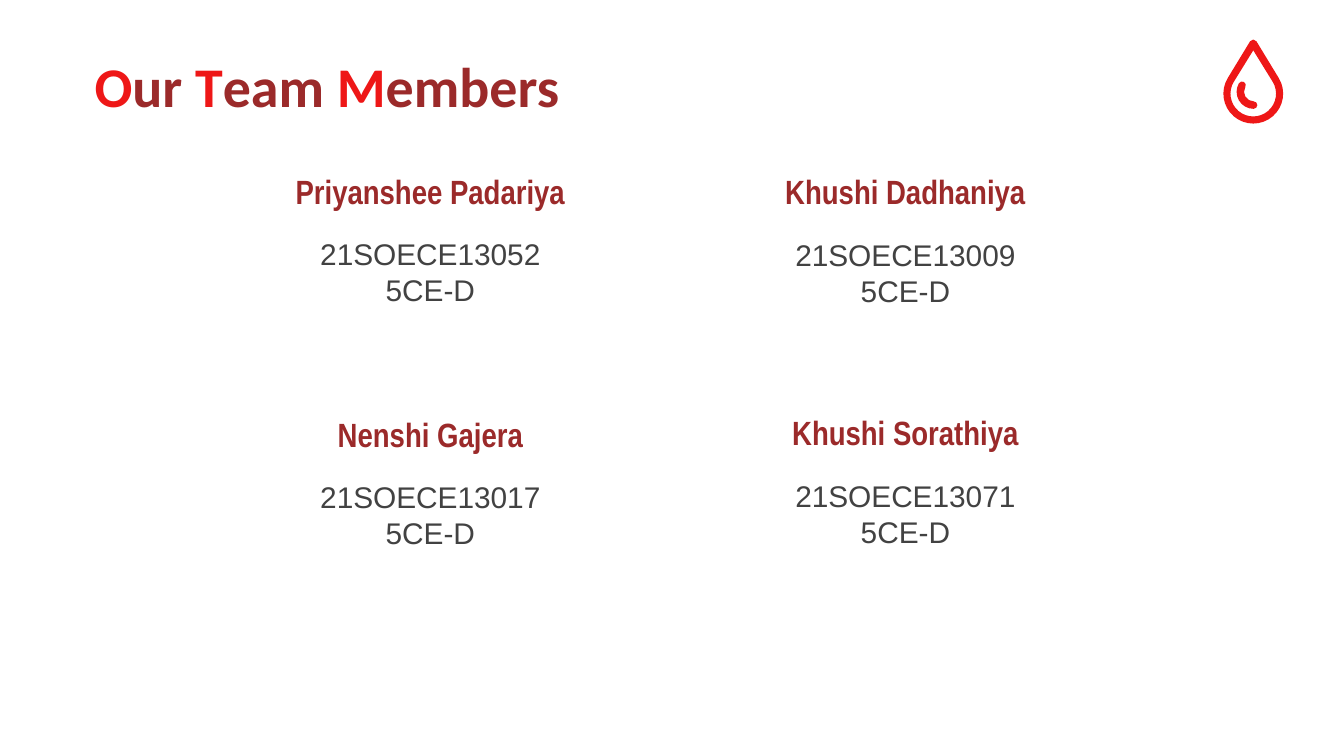
from math import asin, cos, degrees, radians, sin, tan

from pptx import Presentation
from pptx.dml.color import RGBColor
from pptx.enum.text import MSO_ANCHOR, PP_ALIGN
from pptx.oxml.ns import qn
from pptx.util import Pt

RED = RGBColor(0xEE, 0x17, 0x17)
MAROON = RGBColor(0x9B, 0x2A, 0x2A)
GRAY = RGBColor(0x42, 0x42, 0x42)

LEFT_COLUMN, RIGHT_COLUMN = 142.8, 397.3
MEMBERS = [
    ("Priyanshee Padariya", "21SOECE13052", LEFT_COLUMN, 85.4),
    ("Khushi Dadhaniya", "21SOECE13009", RIGHT_COLUMN, 85.9),
    ("Nenshi Gajera", "21SOECE13017", LEFT_COLUMN, 215.6),
    ("Khushi Sorathiya", "21SOECE13071", RIGHT_COLUMN, 214.8),
]
CLASS_NAME = "5CE-D"
CARD_WIDTH, NAME_HEIGHT, DETAIL_HEIGHT = 175.5, 33.5, 53.5


def on_circle(x, y, radius, angle):
    """Point at an angle in degrees, clockwise from the right."""
    return x + radius * cos(radians(angle)), y + radius * sin(radians(angle))


def arc(x, y, radius, start, end, pieces=1):
    """Curve segments along a circle, each two control points and an end point."""
    step = (end - start) / pieces
    reach = 4 / 3 * tan(radians(step / 4)) * radius
    segments = []
    for a in (start + step * i for i in range(pieces)):
        b = a + step
        first, last = on_circle(x, y, radius, a), on_circle(x, y, radius, b)
        segments.append([on_circle(*first, reach, a + 90),
                         on_circle(*last, -reach, b + 90), last])
    return segments


def drop_outline(x, tip_y, tip_radius, belly_y, belly_radius):
    """Two circles, one above the other, joined by their common tangents."""
    lean = degrees(asin((belly_radius - tip_radius) / (belly_y - tip_y)))
    tip_start = on_circle(x, tip_y, tip_radius, 180 + lean)
    tip = arc(x, tip_y, tip_radius, 180 + lean, 360 - lean) if tip_radius else []
    belly_start = on_circle(x, belly_y, belly_radius, -lean)
    belly = arc(x, belly_y, belly_radius, -lean, 180 + lean, 3)
    return [[tip_start], *tip, [belly_start], *belly]


def rounded_arc_outline(x, y, radius, start, end, half_width):
    """A thick arc with round ends."""
    first, last = on_circle(x, y, radius, start), on_circle(x, y, radius, end)
    return [
        [on_circle(x, y, radius + half_width, start)],
        *arc(x, y, radius + half_width, start, end, 2),
        *arc(*last, half_width, end, end + 180, 2),
        *arc(x, y, radius - half_width, end, start, 2),
        *arc(*first, half_width, start + 180, start + 360, 2),
    ]


class SlideBuilder:
    inset = Pt(7.2)

    def __init__(self, slide):
        self.slide = slide

    def text_frame(self, left, top, width, height):
        box = self.slide.shapes.add_textbox(Pt(left), Pt(top), Pt(width), Pt(height))
        frame = box.text_frame
        frame.word_wrap = True
        frame.vertical_anchor = MSO_ANCHOR.MIDDLE
        frame.margin_left = frame.margin_right = self.inset
        frame.margin_top = frame.margin_bottom = self.inset
        return frame

    def style(self, paragraph, name, size, color, bold=False):
        font = paragraph.font
        font.name, font.size, font.bold = name, Pt(size), bold
        font.color.rgb = color

    def title(self, text, *box):
        """Add a heading whose words start with a red capital."""
        paragraph = self.text_frame(*box).paragraphs[0]
        self.style(paragraph, "Calibri", 30, MAROON, True)
        words = text.split()
        for index, word in enumerate(words):
            gap = " " if index < len(words) - 1 else ""
            for part, color in ((word[0], RED), (word[1:] + gap, MAROON)):
                run = paragraph.add_run()
                run.text = part
                run.font.color.rgb = color

    def centered_lines(self, lines, box, *style):
        frame = self.text_frame(*box)
        frame.text = "\n".join(lines)
        for paragraph in frame.paragraphs:
            paragraph.alignment = PP_ALIGN.CENTER
            self.style(paragraph, *style)

    def member(self, name, number, left, top):
        self.centered_lines([name], (left, top, CARD_WIDTH, NAME_HEIGHT),
                            "Arial Narrow", 18, MAROON, True)
        self.centered_lines([number, CLASS_NAME],
                            (left, top + NAME_HEIGHT, CARD_WIDTH, DETAIL_HEIGHT),
                            "Arial", 16, GRAY)

    def outline(self, shapes, contours, color):
        """Fill closed contours of lines (one point) and curves (three points)."""
        builder = None
        for contour in contours:
            start, *points = [(Pt(x), Pt(y)) for segment in contour for x, y in segment]
            if builder is None:
                builder = shapes.build_freeform(*start)
            else:
                builder.move_to(*start)
            builder.add_line_segments(points)
        shape = builder.convert_to_shape()
        self.bend(shape, contours)
        shape.shadow.inherit = False
        shape.fill.solid()
        shape.fill.fore_color.rgb = color
        shape.line.fill.background()

    def bend(self, shape, contours):
        """Merge the three line steps of each curve segment into one Bézier step."""
        steps = iter(list(shape.element.iter(qn("a:lnTo"))))
        for contour in contours:
            for segment in contour[1:]:
                step, *others = [next(steps) for _ in segment]
                if others:
                    curve = step.makeelement(qn("a:cubicBezTo"))
                    step.addprevious(curve)
                    for old in (step, *others):
                        curve.append(old[0])
                        old.getparent().remove(old)
            closing_line = contour[-1][-1] != contour[0][0]
            assert closing_line or len(contour) > 1

    def blood_drop(self, x, y):
        """Add the drop icon, with x and y at the middle of its round part."""
        shapes = self.slide.shapes.add_group_shape().shapes
        outer = drop_outline(x, y - 27, 2, y, 16)
        inner = drop_outline(x, y - 23.2, 0, y, 12.2)
        self.outline(shapes, [outer, inner], RED)
        self.outline(shapes, [rounded_arc_outline(x + 0.2, y - 1, 7.1, 90, 210, 2)], RED)


def main():
    presentation = Presentation()
    presentation.slide_width, presentation.slide_height = Pt(720), Pt(405)
    builder = SlideBuilder(presentation.slides.add_slide(presentation.slide_layouts[6]))
    builder.title("Our Team Members", 43.6, 22.7, 607, 45.5)
    builder.blood_drop(671.4, 50.2)
    for member in MEMBERS:
        builder.member(*member)
    presentation.save("out.pptx")


if __name__ == "__main__":
    main()
